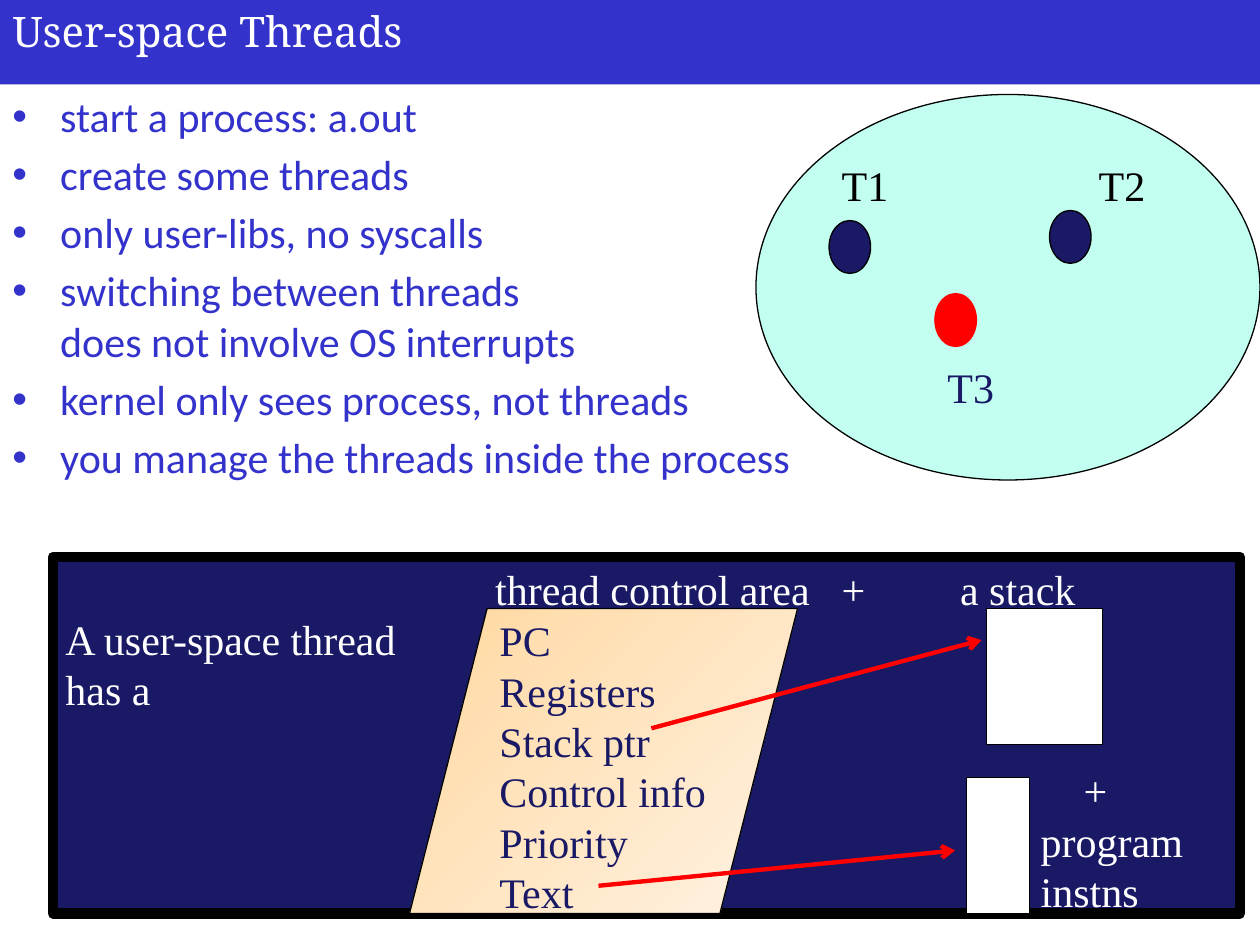
from lxml.etree import SubElement
from pptx import Presentation
from pptx.dml.color import RGBColor
from pptx.enum.shapes import MSO_CONNECTOR, MSO_SHAPE as Shape
from pptx.enum.text import MSO_ANCHOR, PP_ALIGN
from pptx.oxml.ns import qn
from pptx.util import Inches, Pt

# Content
TITLE = "User-space Threads"
POINTS = [
    "start a process: a.out",
    "create some threads",
    "only user-libs, no syscalls",
    "switching between threads\vdoes not involve OS interrupts",
    "kernel only sees process, not threads",
    "you manage the threads inside the process",
]
CONTROL_AREA = ["PC", "Registers", "Stack ptr", "Control info", "Priority", "Text"]

BLUE, NAVY, RED, MINT = "3333CC", "191966", "FF0000", "C2FFF0"
BLACK, WHITE = "000000", "FFFFFF"
SERIF = "Times New Roman"
ROW = 0.4  # height of one serif text line, inches
PANEL = (0.42, 4.42, 9.42, 2.83)

# Threads: name, label left and top, label colour, dot left and top, dot fill, dot line
THREADS = [
    ("T1", 6.68, 1.27, BLACK, 6.58, 1.75, NAVY, BLACK),
    ("T2", 8.72, 1.27, BLACK, 8.33, 1.67, NAVY, BLACK),
    ("T3", 7.52, 2.87, NAVY, 7.42, 2.33, RED, RED),
]
# Panel labels: lines, left, text row in the panel, width
PANEL_LABELS = [
    (["thread control area"], 3.93, 0, 2.6),
    (["+"], 6.68, 0, 0.3),
    (["a stack"], 7.62, 0, 1.1),
    (["A user-space thread", "has a"], 0.52, 1, 2.8),
    (["+"], 8.6, 4, 0.3),
    (["program", "instns"], 8.26, 5, 1.4),
]
MEMORY = [(7.83, 4.83, 0.92, 1.08), (7.67, 6.17, 0.5, 1.08)]
POINTERS = [((5.17, 5.78), (7.79, 5.08)), ((4.75, 7.03), (7.58, 6.75))]


def rgb(value):
    return RGBColor.from_string(value)


def write(shape, lines, *, color, font=SERIF, size=24, inset=(0, 0),
          leading=None, before=0, bullet=False, wrap=True):
    frame = shape.text_frame
    frame.word_wrap = wrap
    frame.vertical_anchor = MSO_ANCHOR.TOP
    frame.margin_left = frame.margin_right = Inches(inset[0])
    frame.margin_top = frame.margin_bottom = Inches(inset[1])
    frame.text = "\n".join(lines)
    for paragraph in frame.paragraphs:
        paragraph.alignment = PP_ALIGN.LEFT
        paragraph.space_before = Pt(before)
        if leading:
            paragraph.line_spacing = leading
        if bullet:
            props = paragraph._p.get_or_add_pPr()
            props.set("marL", str(Inches(0.38)))
            props.set("indent", str(-Inches(0.38)))
            SubElement(props, qn("a:buFont"), typeface="Arial")
            SubElement(props, qn("a:buChar"), char="•")
        for run in paragraph.runs:
            run.font.name, run.font.size = font, Pt(size)
            run.font.color.rgb = rgb(color)


def draw(kind, box, fill, line=BLACK, weight=0.75):
    shape = slide.shapes.add_shape(kind, *map(Inches, box))
    shape.shadow.inherit = False
    if isinstance(fill, tuple):
        shape.fill.gradient()
        shape.fill.gradient_angle = 315
        for stop, value in zip(shape.fill.gradient_stops, fill):
            stop.color.rgb = rgb(value)
    else:
        shape.fill.solid()
        shape.fill.fore_color.rgb = rgb(fill)
    shape.line.color.rgb = rgb(line)
    shape.line.width = Pt(weight)
    return shape


def label(lines, left, top, width, color):
    box = slide.shapes.add_textbox(
        *map(Inches, (left, top, width, ROW * len(lines))))
    write(box, lines, color=color, leading=Pt(ROW * 72), wrap=False)


def pointer(start, end):
    arrow = slide.shapes.add_connector(
        MSO_CONNECTOR.STRAIGHT, *map(Inches, start + end))
    arrow.line.color.rgb = rgb(RED)
    arrow.line.width = Pt(2.5)
    SubElement(arrow.line._get_or_add_ln(), qn("a:tailEnd"), type="arrow")
    SubElement(arrow._element.spPr, qn("a:effectLst"))


deck = Presentation()
deck.slide_width, deck.slide_height = Inches(10), Inches(7.5)
slide = deck.slides.add_slide(deck.slide_layouts[5])

# Title bar
title = slide.shapes.title
title.left, title.top, title.width, title.height = map(Inches, (0, 0, 10, 0.67))
title.fill.solid()
title.fill.fore_color.rgb = rgb(BLUE)
write(title, [TITLE], color=WHITE, font="Noto Serif", inset=(0.1, 0.04))

# Bullet points
body = slide.shapes.add_textbox(*map(Inches, (0, 0.67, 10, 3.42)))
write(body, POINTS, color=BLUE, font="Calibri", inset=(0.1, 0.05),
      before=4.4, bullet=True)

# Process with its threads
draw(Shape.OVAL, (6, 0.75, 4, 3.06), MINT)
for name, left, top, color, dot_left, dot_top, fill, line in THREADS:
    label([name], left, top, 0.5, color)
    draw(Shape.OVAL, (dot_left, dot_top, 0.33, 0.42), fill, line)

# Panel: what a thread consists of
draw(Shape.RECTANGLE, PANEL, NAVY, weight=6)
for lines, left, row, width in PANEL_LABELS:
    label(lines, left, PANEL[1] + 0.05 + row * ROW, width, WHITE)

control_area = draw(Shape.FLOWCHART_DATA, (3.25, 4.83, 3.08, 2.42),
                    ("FFD8A0", "FFF2E3"))
write(control_area, CONTROL_AREA, color=NAVY, inset=(0.1, 0.05),
      leading=Pt(ROW * 72))

# Stack and program memory, with the pointers to them
for box, (start, end) in zip(MEMORY, POINTERS):
    draw(Shape.RECTANGLE, box, WHITE)
    pointer(start, end)

deck.save("out.pptx")
